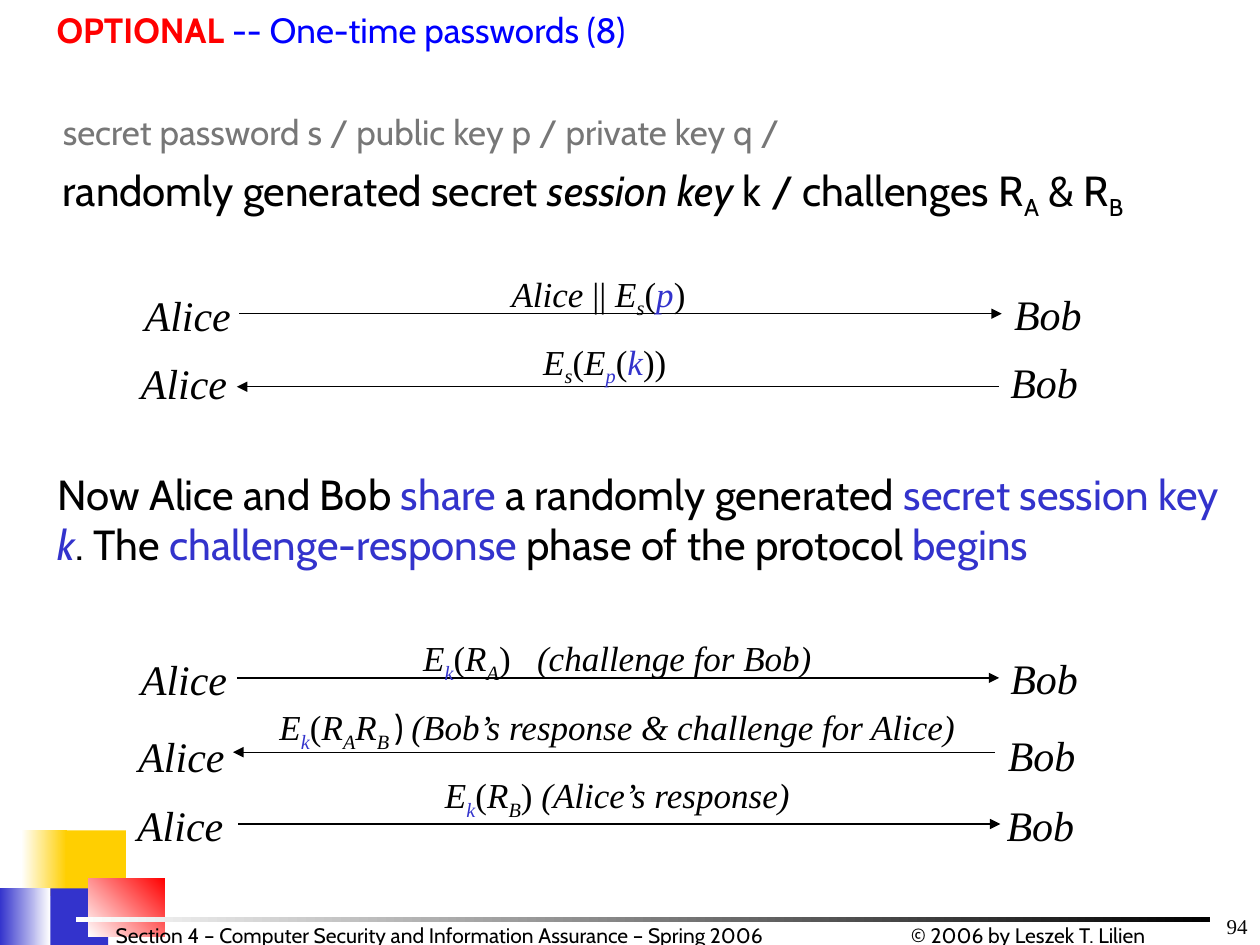
"""Build the one-time passwords slide with its Alice and Bob message exchanges."""
from dataclasses import dataclass
from typing import NamedTuple, Optional

from lxml import etree
from pptx import Presentation
from pptx import util as u
from pptx.dml.color import RGBColor
from pptx.enum import shapes, text
from pptx.oxml import ns

PX = 9144
BLACK = RGBColor(0x00, 0x00, 0x00)
WHITE = RGBColor(0xFF, 0xFF, 0xFF)
INK = RGBColor(0x08, 0x08, 0x08)
GRAY = RGBColor(0x77, 0x77, 0x77)
RED = RGBColor(0xFF, 0x00, 0x00)
BLUE = RGBColor(0x00, 0x00, 0xFF)
INDIGO = RGBColor(0x33, 0x33, 0xCC)
GOLD = RGBColor(0xFF, 0xCF, 0x01)
SANS = "Cabin"
SERIF = "Times New Roman"
LEFT, CENTER, RIGHT = text.PP_ALIGN.LEFT, text.PP_ALIGN.CENTER, text.PP_ALIGN.RIGHT


class Span(NamedTuple):
    text: str
    color: RGBColor = BLACK
    size: int = 24
    font: str = SANS
    italic: bool = False
    bold: bool = False
    sub: bool = False
    spacing: int = 0


class Area(NamedTuple):
    left: int
    top: int
    width: int
    height: int


@dataclass(frozen=True)
class Block:
    area: Area
    color: RGBColor
    end_color: Optional[RGBColor] = None
    angle: int = 0


@dataclass(frozen=True)
class Message:
    alice_x: int
    alice_y: int
    bob_y: int
    arrow_x: int
    arrow_y: int
    to_bob: bool
    caption: Area
    spans: list[Span]


def formula(wording: str, color: RGBColor = BLACK, italic: bool = True,
            sub: bool = False, spacing: int = 0) -> Span:
    return Span(wording, color, 20, SERIF, italic, sub=sub, spacing=spacing)


def plain(wording: str) -> Span:
    return formula(wording, italic=False)


def low(wording: str, color: RGBColor = BLACK) -> Span:
    return formula(wording, color, sub=True)


E, R, OPEN, CLOSE = formula("E"), formula("R"), plain("("), plain(")")
E_S = [E, low("s"), OPEN]
E_K = [E, low("k", INDIGO), OPEN]

BLOCKS = [
    Block(Area(17, 659, 36, 52), WHITE, GOLD),
    Block(Area(0, 705, 40, 52), INDIGO, WHITE),
    Block(Area(52, 659, 48, 52), GOLD),
    Block(Area(40, 705, 46, 52), INDIGO),
    Block(Area(70, 697, 61, 46), RED, WHITE, 225),
    Block(Area(60, 728, 900, 4), WHITE, BLACK),
]

MESSAGES = [
    Message(105, 225, 224, 190, 249, True, Area(386, 211, 178, 48),
            [formula("Alice"), plain(" || "), *E_S, formula("p", INDIGO), CLOSE]),
    Message(102, 279, 278, 188, 307, False, Area(411, 265, 138, 48),
            [*E_S, E, low("p", INDIGO), OPEN, formula("k", INDIGO), plain("))")]),
    Message(102, 514, 513, 188, 538, True, Area(265, 500, 450, 48),
            [*E_K, R, low("A"), CLOSE, formula(" ", spacing=1000),
             formula("(challenge for Bob)")]),
    Message(100, 575, 574, 185, 597, False, Area(190, 555, 600, 48),
            [*E_K, R, low("A"), R, low("B "), Span(") ", size=20),
             formula("(Bob’s response & challenge for Alice)")]),
    Message(99, 630, 630, 189, 654, True, Area(190, 609, 600, 48),
            [*E_K, R, low("B"), plain(") "), formula("(Alice’s response)")]),
]

TITLE = [Span("OPTIONAL", RED, 20, bold=True),
         Span(" -- One-time passwords (8)", BLUE, 20)]
SECRETS = [Span("secret password s / public key p / private key q /", GRAY, 20),
           Span(" ", GRAY)]
SESSION = [Span("randomly generated secret "), Span("session key", italic=True),
           Span(" k / challenges R"), Span("A", sub=True),
           Span(" & R"), Span("B", sub=True)]
SHARED = [Span("Now Alice and Bob "), Span("share", INDIGO),
          Span(" a randomly generated "), Span("secret session key ", INDIGO),
          Span("k", INDIGO, italic=True), Span(". The "),
          Span("challenge-response ", INDIGO), Span("phase of the protocol "),
          Span("begins", INDIGO)]


def add_text(page, area: Area, lines: list[list[Span]], align=LEFT):
    frame = page.shapes.add_textbox(*(n * PX for n in area)).text_frame
    frame.word_wrap = True
    for index, spans in enumerate(lines):
        para = frame.add_paragraph() if index else frame.paragraphs[0]
        para.alignment = align
        para.space_before = u.Pt(6 if index else 0)
        for span in spans:
            run = para.add_run()
            run.text = span.text
            font = run.font
            font.name, font.size = span.font, u.Pt(span.size)
            font.bold, font.italic = span.bold, span.italic
            font.color.rgb = span.color
            properties = run._r.get_or_add_rPr()
            if span.sub:
                properties.set("baseline", "-25000")
            if span.spacing:
                properties.set("spc", str(span.spacing))
    return frame


def add_block(page, block: Block) -> None:
    shape = page.shapes.add_shape(shapes.MSO_SHAPE.RECTANGLE, *(n * PX for n in block.area))
    shape.shadow.inherit = False
    shape.line.fill.background()
    if block.end_color is None:
        shape.fill.solid()
        shape.fill.fore_color.rgb = block.color
        return
    shape.fill.gradient()
    shape.fill.gradient_angle = block.angle
    for stop, color in zip(shape.fill.gradient_stops, (block.color, block.end_color)):
        stop.color.rgb = color


def add_arrow(page, left: int, y: int, to_right: bool) -> None:
    arrow = page.shapes.add_connector(
        shapes.MSO_CONNECTOR.STRAIGHT, left * PX, y * PX, (left + 605) * PX, y * PX)
    arrow.line.color.rgb = BLACK
    arrow.line.width = u.Pt(0.75)
    end = "a:tailEnd" if to_right else "a:headEnd"
    etree.SubElement(arrow.line._get_or_add_ln(), ns.qn(end), type="triangle")
    etree.SubElement(arrow._element.spPr, ns.qn("a:effectLst"))


def add_message(page, message: Message) -> None:
    alice = Area(message.alice_x, message.alice_y, 94, 50)
    bob = Area(message.alice_x + 690, message.bob_y, 80, 50)
    for area, name in ((alice, "Alice"), (bob, "Bob")):
        add_text(page, area, [[Span(name, font=SERIF, italic=True)]])
    add_arrow(page, message.arrow_x, message.arrow_y, message.to_bob)
    add_text(page, message.caption, [message.spans], CENTER)


def main() -> None:
    deck = Presentation()
    deck.slide_width, deck.slide_height = 1000 * PX, 750 * PX
    page = deck.slides.add_slide(deck.slide_layouts[6])
    number = add_text(page, Area(792, 720, 208, 30), [[Span("94", INK, 12, SERIF)]], RIGHT)
    number.vertical_anchor = text.MSO_ANCHOR.BOTTOM
    for block in BLOCKS:
        add_block(page, block)
    add_text(page, Area(626, 727, 293, 30),
             [[Span("© 2006 by Leszek T. Lilien", size=12)]], RIGHT)
    footer = "Section 4 – Computer Security and Information Assurance – Spring 2006"
    add_text(page, Area(82, 727, 589, 30), [[Span(footer, size=12)]])
    add_text(page, Area(40, 77, 960, 111), [SECRETS, SESSION])
    add_text(page, Area(36, 367, 964, 130), [SHARED])
    for message in MESSAGES:
        add_message(page, message)
    title = add_text(page, Area(35, 8, 965, 55), [TITLE])
    title.paragraphs[0].line_spacing = 0.8
    deck.save("out.pptx")


if __name__ == "__main__":
    main()
